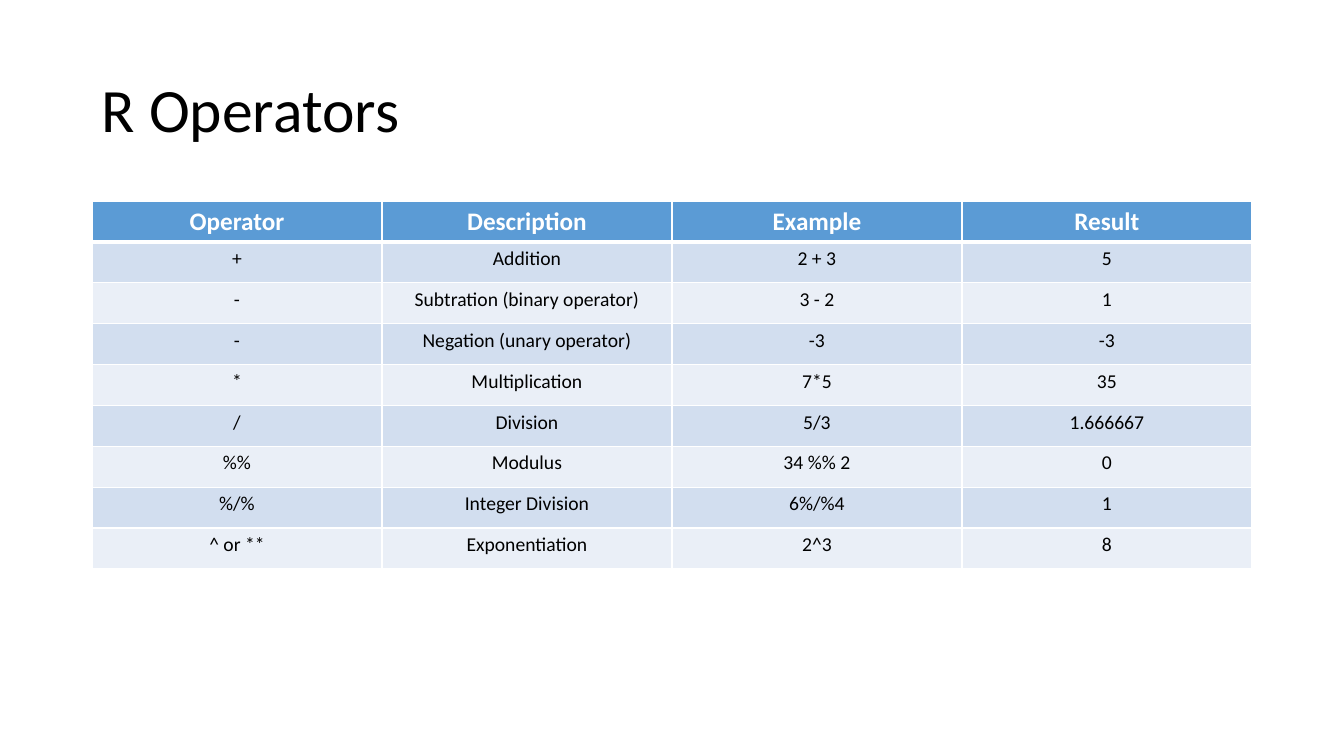
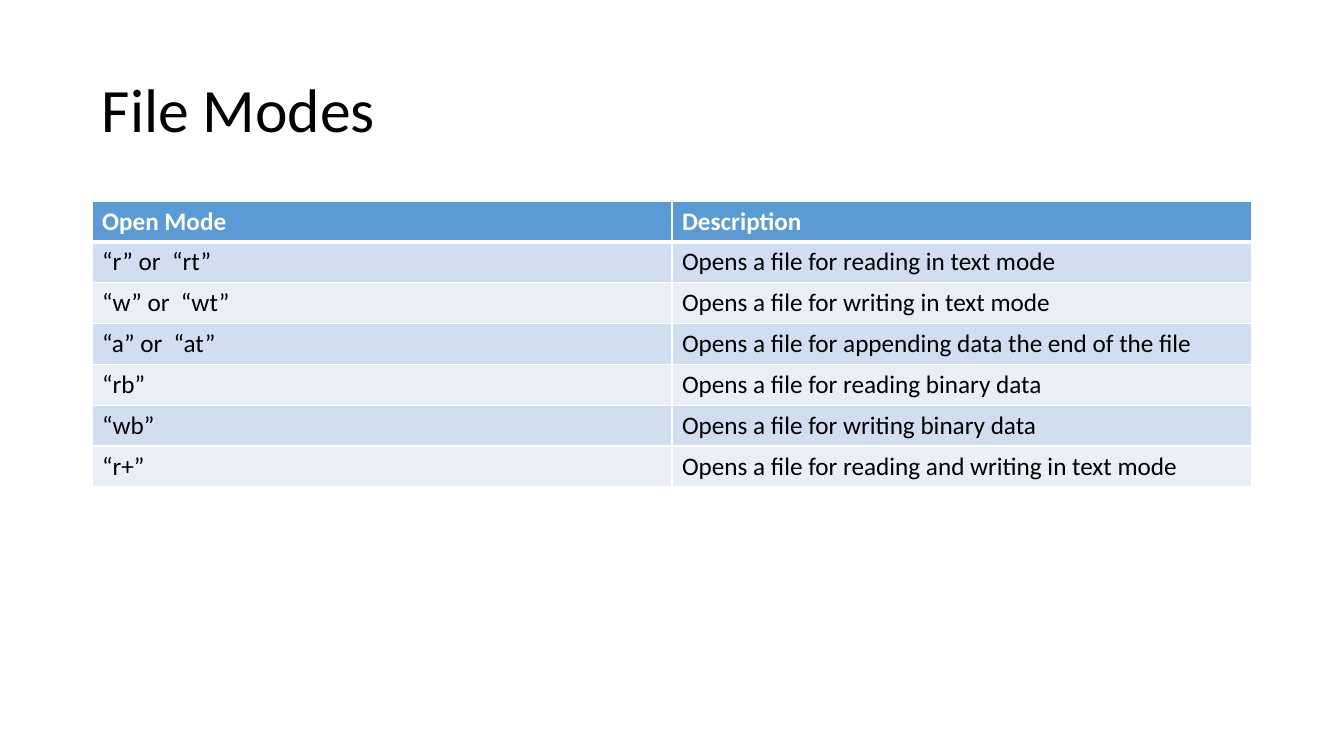
from pptx import Presentation
from pptx.dml.color import RGBColor
from pptx.enum.text import MSO_ANCHOR as Anchor, PP_ALIGN as Align
from pptx.oxml.ns import qn
from pptx.util import Emu, Pt
from lxml.etree import SubElement

EMU_PER_PIXEL = 914400 / 100.8
FONT = "Calibri"
COLORS = {
    "title": "000000",
    "body": "000000",
    "header_text": "FFFFFF",
    "header_fill": "5B9BD5",
    "odd_row": "D2DEEF",
    "even_row": "EAEFF7",
    "border": "FFFFFF",
}
LEFT, WIDTH = 92, 1160
TITLE_TOP, TITLE_HEIGHT = 40, 146
TABLE_TOP = 201
HEADER_SIZE = 18
THIN, THICK = 1, 3

OPERATORS = [
    ("Operator", "Description", "Example", "Result"),
    ("+", "Addition", "2 + 3", "5"),
    ("-", "Subtration (binary operator)", "3 - 2", "1"),
    ("-", "Negation (unary operator)", "-3", "-3"),
    ("*", "Multiplication", "7*5", "35"),
    ("/", "Division", "5/3", "1.666667"),
    ("%%", "Modulus", "34 %% 2", "0"),
    ("%/%", "Integer Division", "6%/%4", "1"),
    ("^ or **", "Exponentiation", "2^3", "8"),
]
FILE_MODES = [
    ("Open Mode", "Description"),
    ("“r” or  “rt”", "Opens a file for reading in text mode"),
    ("“w” or  “wt”", "Opens a file for writing in text mode"),
    ("“a” or  “at”", "Opens a file for appending data the end of the file"),
    ("“rb”", "Opens a file for reading binary data"),
    ("“wb”", "Opens a file for writing binary data"),
    ("“r+”", "Opens a file for reading and writing in text mode"),
]


def pixels(*lengths):
    return [Emu(round(length * EMU_PER_PIXEL)) for length in lengths]


def color(name):
    return RGBColor.from_string(COLORS[name])


def add_span(para, text, size, color_name, bold=False):
    span = para.add_run()
    span.text = text
    span.font.name = FONT
    span.font.size = Pt(size)
    span.font.bold = bold
    span.font.color.rgb = color(color_name)


def add_title(page, text):
    box = page.shapes.add_textbox(*pixels(LEFT, TITLE_TOP, WIDTH, TITLE_HEIGHT))
    frame = box.text_frame
    frame.word_wrap = True
    frame.vertical_anchor = Anchor.MIDDLE
    para = frame.paragraphs[0]
    para.line_spacing = 0.9
    add_span(para, text, 44, "title")


def set_borders(cell, top, bottom):
    properties = cell._tc.get_or_add_tcPr()
    widths = {"lnL": THIN, "lnR": THIN, "lnT": top, "lnB": bottom}
    for side, width in widths.items():
        line = SubElement(properties, qn("a:" + side), w=str(Pt(width)))
        fill = SubElement(line, qn("a:solidFill"))
        SubElement(fill, qn("a:srgbClr"), val=COLORS["border"])


def fill_cell(cell, text, row, body_size, align):
    is_header = row == 0
    set_borders(cell, THICK if row == 1 else THIN, THICK if is_header else THIN)
    cell.fill.solid()
    para = cell.text_frame.paragraphs[0]
    para.alignment = align
    if is_header:
        cell.fill.fore_color.rgb = color("header_fill")
        add_span(para, text, HEADER_SIZE, "header_text", bold=True)
    else:
        cell.fill.fore_color.rgb = color("odd_row" if row % 2 else "even_row")
        add_span(para, text, body_size, "body")


def add_grid(page, rows, height, body_size, align):
    area = pixels(LEFT, TABLE_TOP, WIDTH, height)
    table = page.shapes.add_table(len(rows), len(rows[0]), *area).table
    for row, texts in enumerate(rows):
        for column, text in enumerate(texts):
            fill_cell(table.cell(row, column), text, row, body_size, align)


def add_table_page(deck, title, rows, height, body_size, align):
    page = deck.slides.add_slide(deck.slide_layouts[6])
    add_title(page, title)
    add_grid(page, rows, height, body_size, align)


def main():
    deck = Presentation()
    deck.slide_width, deck.slide_height = pixels(1344, 756)
    add_table_page(deck, "R Operators", OPERATORS, 368, 14, Align.CENTER)
    add_table_page(deck, "File Modes", FILE_MODES, 286, 18, Align.LEFT)
    deck.save("out.pptx")


main()
